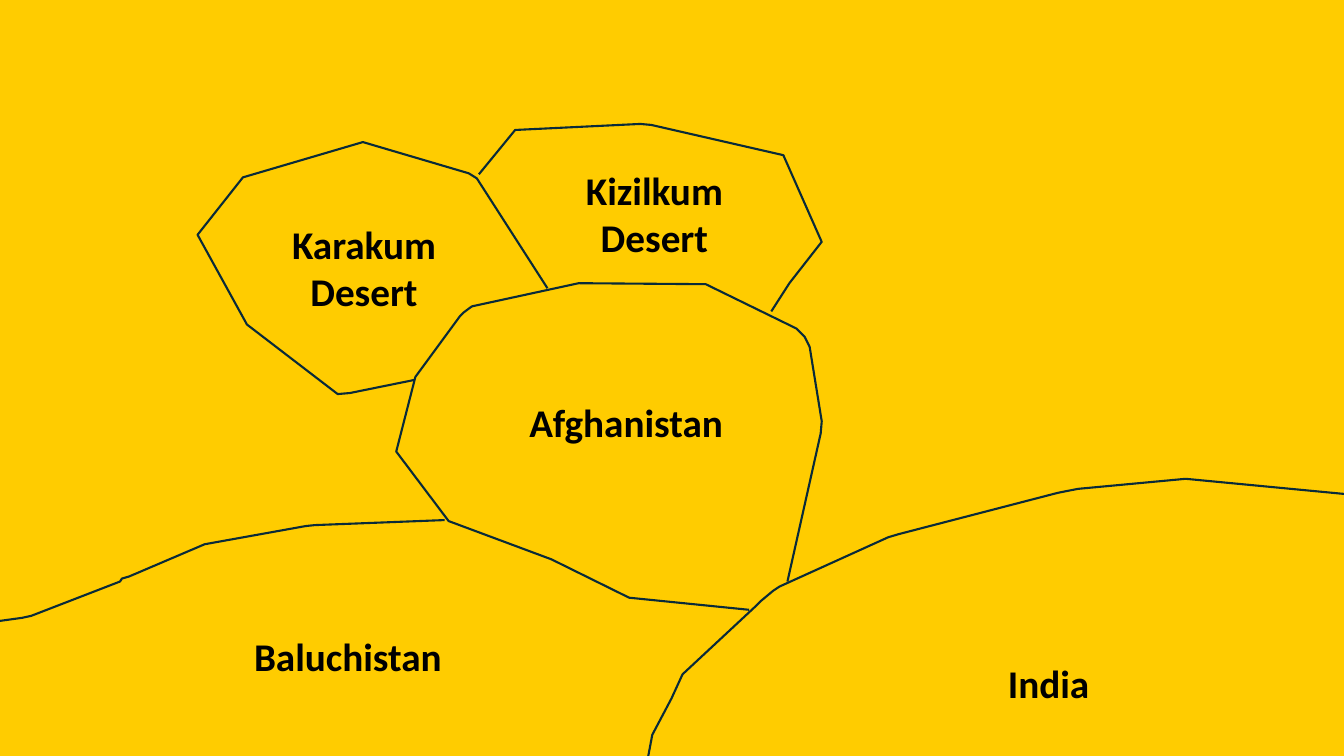
from pptx import Presentation, util as u
from pptx.dml.color import RGBColor
from pptx.enum import text

cell = u.Inches(0.01)
cols, rows = 1333, 750


def paint(fill, tint):
    fill.solid()
    fill.fore_color.rgb = RGBColor.from_string(tint)


deck = Presentation()
deck.slide_width = cols * cell
deck.slide_height = rows * cell
slide = deck.slides.add_slide(deck.slide_layouts[6])
paint(slide.background.fill, "FFCC00")

india = [(cols, 490), (1176, 475), (1069, 485), (1049, 489), (891, 530), (881, 533),
         (773, 582), (767, 586), (761, 591), (755, 596), (750, 601), (677, 669),
         (666, 693), (647, 729), (643, rows)]
afghan = [(781, 577), (814, 430), (815, 418), (803, 344), (798, 334), (790, 326),
          (700, 282), (574, 281), (468, 304), (460, 310), (456, 314), (412, 374),
          (393, 448), (445, 517), (547, 555), (624, 593), (743, 605)]
baluch = [(441, 516), (312, 521), (303, 522), (203, 540), (128, 572), (121, 574),
          (119, 577), (31, 611), (22, 613), (0, 616)]
kara = [(543, 286), (473, 177), (465, 172), (360, 141), (241, 176), (196, 233),
        (245, 322), (335, 391), (347, 390), (411, 377)]
kizil = [(475, 173), (511, 129), (635, 123), (646, 124), (777, 154), (815, 240),
         (783, 281), (765, 309)]

for edge in [india, afghan, baluch, kara, kizil]:
    pen = slide.shapes.build_freeform(*edge[0], scale=cell)
    pen.add_line_segments(edge[1:], close=False)
    shape = pen.convert_to_shape()
    shape.shadow.inherit = False
    shape.fill.background()
    paint(shape.line.fill, "092A39")
    shape.line.width = u.Pt(1.5)

wide, first, step = 260, 57, 47
for left, top, words in [(910, 649, ["India"]), (491, 390, ["Afghanistan"]),
                         (215, 622, ["Baluchistan"]), (231, 214, ["Karakum", "Desert"]),
                         (519, 160, ["Kizilkum", "Desert"])]:
    high = first + step * (len(words) - 1)
    box = slide.shapes.add_textbox(left * cell, top * cell, wide * cell, high * cell)
    frame = box.text_frame
    frame.word_wrap = True
    frame.auto_size = text.MSO_AUTO_SIZE.SHAPE_TO_FIT_TEXT
    for i, word in enumerate(words):
        para = frame.add_paragraph() if i else frame.paragraphs[0]
        para.alignment = text.PP_ALIGN.CENTER
        run = para.add_run()
        run.text = word
        run.font.name = "Calibri"
        run.font.size = u.Pt(28)
        run.font.bold = True
        paint(run.font.fill, "000000")

deck.save("out.pptx")
